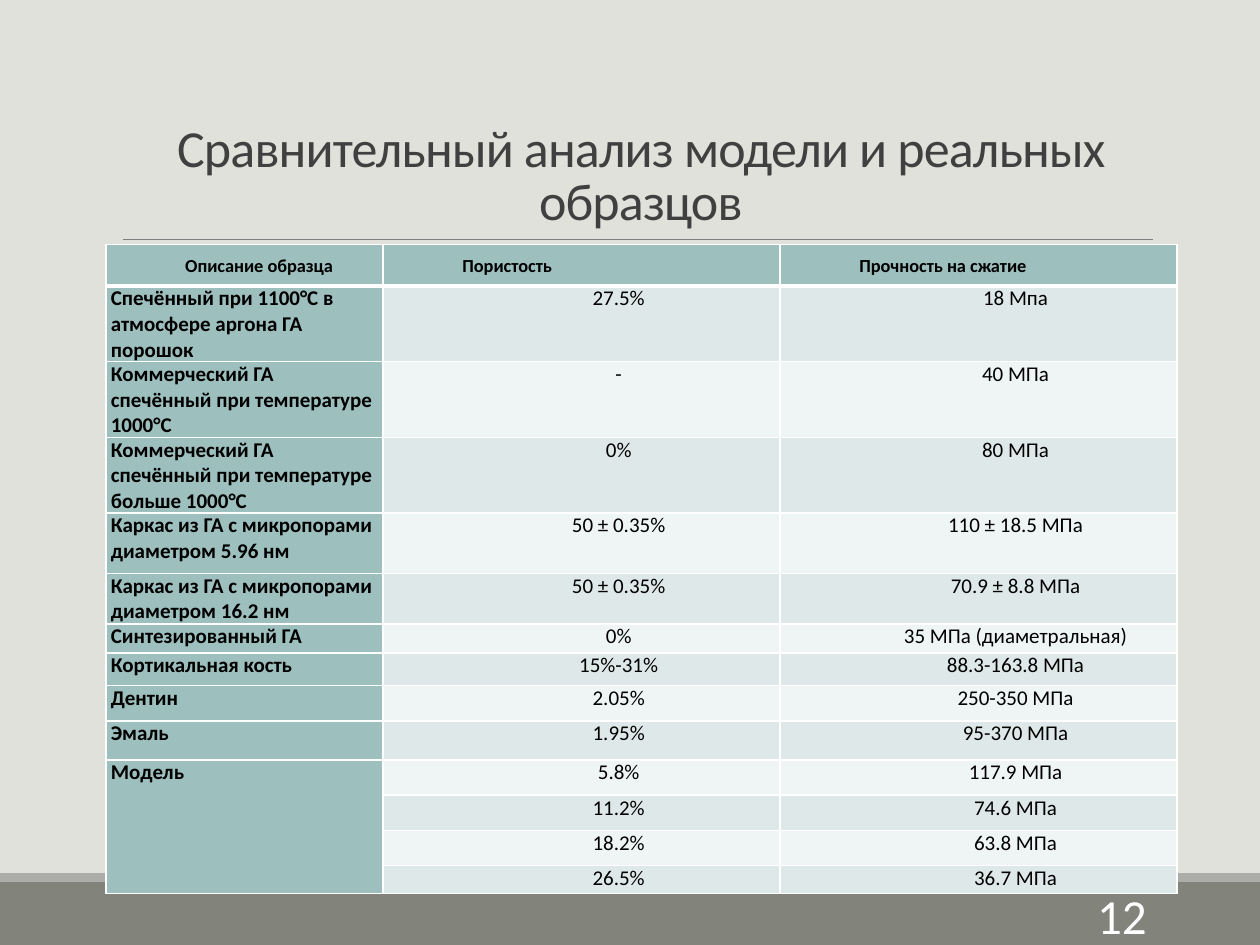
"""Builds a slide with a table comparing model and real sample strength."""
from lxml.etree import SubElement
from pptx import Presentation
from pptx.dml.color import RGBColor
from pptx.enum.shapes import MSO_CONNECTOR, MSO_SHAPE
from pptx.enum.text import MSO_ANCHOR, PP_ALIGN
from pptx.oxml.ns import qn
from pptx.util import Inches, Pt

TITLE = "Сравнительный анализ модели и реальных образцов"
PAGE_NUMBER = "12"
HEADER = ("Описание образца", "Пористость", "Прочность на сжатие")
SAMPLES = [
    ("Спечённый при 1100°C в атмосфере аргона ГА порошок", "27.5%", "18 Мпа"),
    ("Коммерческий ГА спечённый при температуре 1000°C", "-", "40 МПа"),
    ("Коммерческий ГА спечённый при температуре больше 1000°C", "0%", "80 МПа"),
    ("Каркас из ГА с микропорами диаметром 5.96 нм", "50 ± 0.35%", "110 ± 18.5 МПа"),
    ("Каркас из ГА с микропорами диаметром 16.2 нм", "50 ± 0.35%", "70.9 ± 8.8 МПа"),
    ("Синтезированный ГА", "0%", "35 МПа (диаметральная)"),
    ("Кортикальная кость", "15%-31%", "88.3-163.8 МПа"),
    ("Дентин", "2.05%", "250-350 МПа"),
    ("Эмаль", "1.95%", "95-370 МПа"),
    ("Модель", "5.8%", "117.9 МПа"),
    ("", "11.2%", "74.6 МПа"),
    ("", "18.2%", "63.8 МПа"),
    ("", "26.5%", "36.7 МПа"),
]
MODEL_ROW = 10
COLUMN_WIDTHS = (2.2, 3.15, 3.15)
ROW_HEIGHTS = (0.33, 0.38, 0.36, 0.23, 0.48, 0.39, 0.23, 0.26, 0.28, 0.31, 0.28, 0.28, 0.28, 0.22)
WIDTH, HEIGHT = 10, 7.5
LEFT, CONTENT_WIDTH = 0.84, 8.49
FOOTER_TOP, STRIPE = 7, 0.07
FONT = "Calibri"
COLORS = {
    "background": "E1E1DB", "footer": "82847C", "stripe": "ACADA8", "rule": "808080",
    "title": "404040", "text": "000000", "white": "FFFFFF",
    "head": "9DBFBE", "odd": "DFE8E8", "even": "EFF4F4",
}


def color(name):
    return RGBColor.from_string(COLORS[name])


def write(frame, text, size, ink="text", bold=False, align=PP_ALIGN.LEFT,
          spacing=None, indent=0, tracking=None):
    para = frame.paragraphs[0]
    para.alignment = align
    if spacing:
        para.line_spacing = spacing
    if indent:
        properties = para._p.get_or_add_pPr()
        properties.set("marL", "0")
        properties.set("indent", str(Inches(indent)))
    span = para.add_run()
    span.text = text
    span.font.name, span.font.size, span.font.bold = FONT, Pt(size), bold
    span.font.color.rgb = color(ink)
    if tracking:
        span._r.get_or_add_rPr().set("spc", str(round(tracking * 100)))


def add_text(page, text, area, anchor, **style):
    box = page.shapes.add_textbox(*map(Inches, area))
    box.text_frame.word_wrap = True
    box.text_frame.vertical_anchor = anchor
    write(box.text_frame, text, **style)


def add_band(page, top, height, fill):
    band = page.shapes.add_shape(MSO_SHAPE.RECTANGLE, 0, Inches(top), Inches(WIDTH), Inches(height))
    band.shadow.inherit = False
    band.fill.solid()
    band.fill.fore_color.rgb = color(fill)
    band.line.fill.background()


def add_rule(page, left, right, top):
    rule = page.shapes.add_connector(MSO_CONNECTOR.STRAIGHT, *map(Inches, (left, top, right, top)))
    rule.line.color.rgb = color("rule")
    rule.line.width = Pt(0.5)
    SubElement(rule._element.spPr, qn("a:effectLst"))


def format_cell(cell, fill, bottom):
    cell.margin_left = cell.margin_right = Inches(0.04)
    cell.margin_top = cell.margin_bottom = 0
    properties = cell._tc.get_or_add_tcPr()
    for side, width in (("L", 1), ("R", 1), ("T", 1), ("B", bottom)):
        edge = SubElement(properties, qn(f"a:ln{side}"), w=str(Pt(width)))
        SubElement(SubElement(edge, qn("a:solidFill")), qn("a:srgbClr"), val=COLORS["white"])
    cell.fill.solid()
    cell.fill.fore_color.rgb = color(fill)


def add_samples(page):
    rows = [HEADER, *SAMPLES]
    holder = page.shapes.add_table(len(rows), len(HEADER), Inches(LEFT), Inches(1.94),
                                   Inches(CONTENT_WIDTH), Inches(4.94))
    table = holder.table
    for column, width in zip(table.columns, COLUMN_WIDTHS):
        column.width = Inches(width)
    for row, height in zip(table.rows, ROW_HEIGHTS):
        row.height = Inches(height)
    holder.height = Inches(4.94)
    heading = dict(size=10.5, bold=True, align=PP_ALIGN.JUSTIFY, spacing=1.5, indent=0.59)
    label = dict(size=12, bold=True)
    value = dict(size=12, align=PP_ALIGN.CENTER, indent=0.59)
    for r, row in enumerate(rows):
        for c, text in enumerate(row):
            cell = table.cell(r, c)
            fill = "head" if r == 0 or c == 0 else "odd" if r % 2 else "even"
            format_cell(cell, fill, bottom=1 if r else 3)
            if text:
                style = heading if r == 0 else value if c else label
                write(cell.text_frame, text, **style)
    table.cell(MODEL_ROW, 0).merge(table.cell(len(rows) - 1, 0))


def main():
    deck = Presentation()
    deck.slide_width, deck.slide_height = Inches(WIDTH), Inches(HEIGHT)
    page = deck.slides.add_slide(deck.slide_layouts[6])
    page.background.fill.solid()
    page.background.fill.fore_color.rgb = color("background")
    add_band(page, FOOTER_TOP, HEIGHT - FOOTER_TOP, "footer")
    add_band(page, FOOTER_TOP - STRIPE, STRIPE, "stripe")
    add_rule(page, 0.98, 9.15, 1.9)
    add_text(page, TITLE, (LEFT, 0.96, CONTENT_WIDTH, 0.92), MSO_ANCHOR.BOTTOM, size=29.7,
             ink="title", align=PP_ALIGN.CENTER, spacing=0.85, tracking=-0.5)
    add_text(page, PAGE_NUMBER, (8.12, 7.06, 1.08, 0.4), MSO_ANCHOR.MIDDLE, size=28,
             ink="white", align=PP_ALIGN.RIGHT)
    add_samples(page)
    deck.save("out.pptx")


if __name__ == "__main__":
    main()
